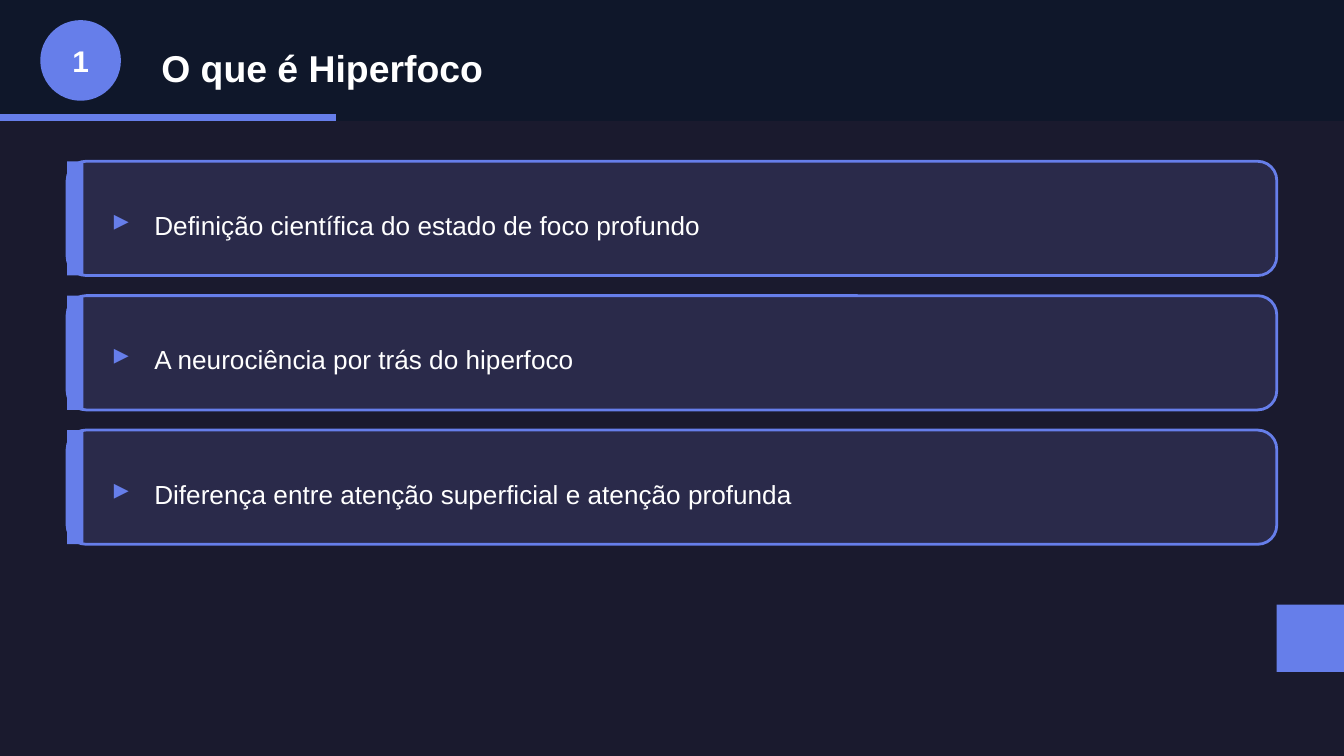
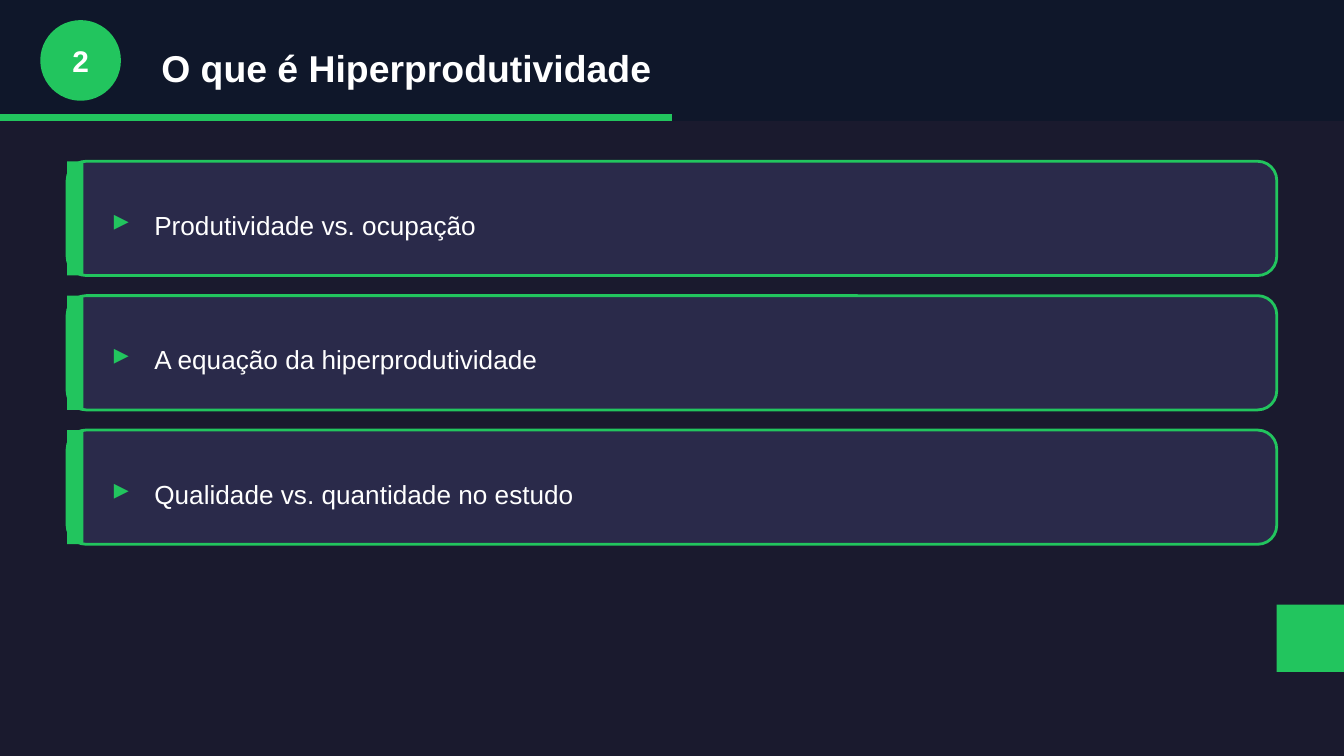
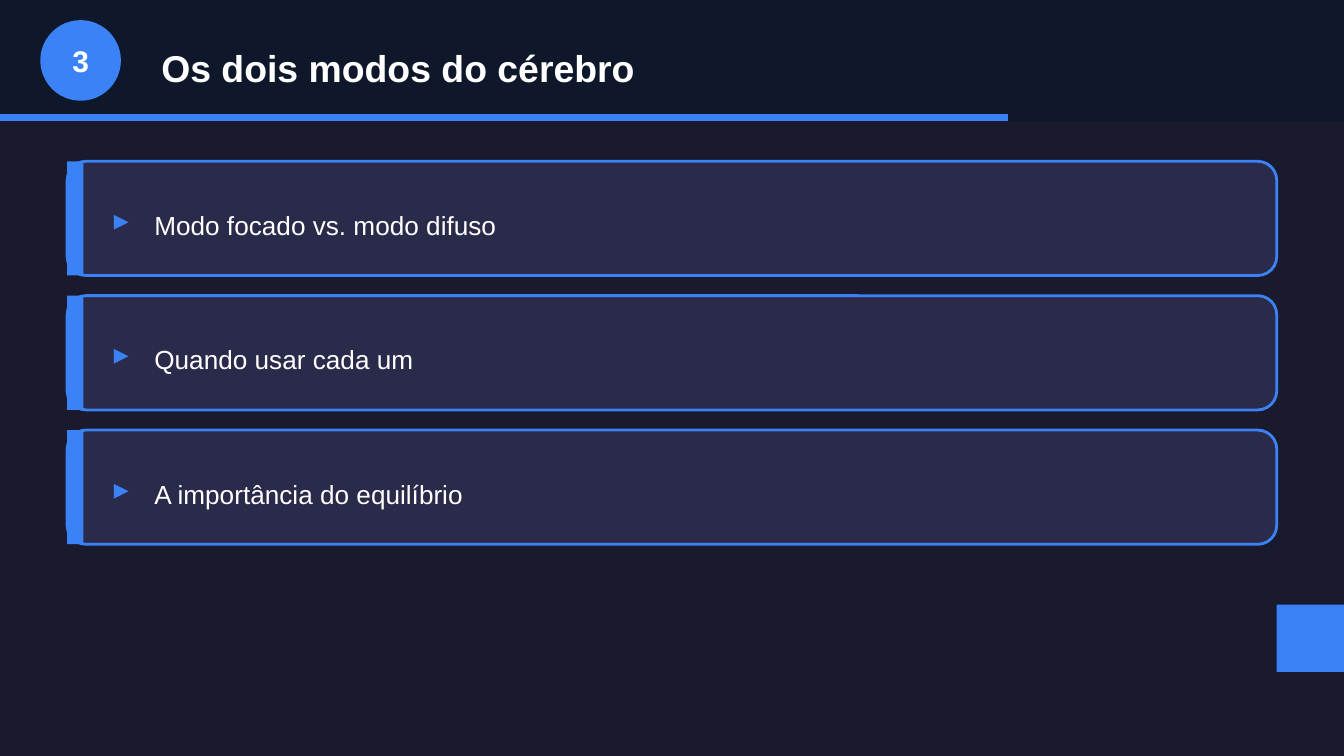
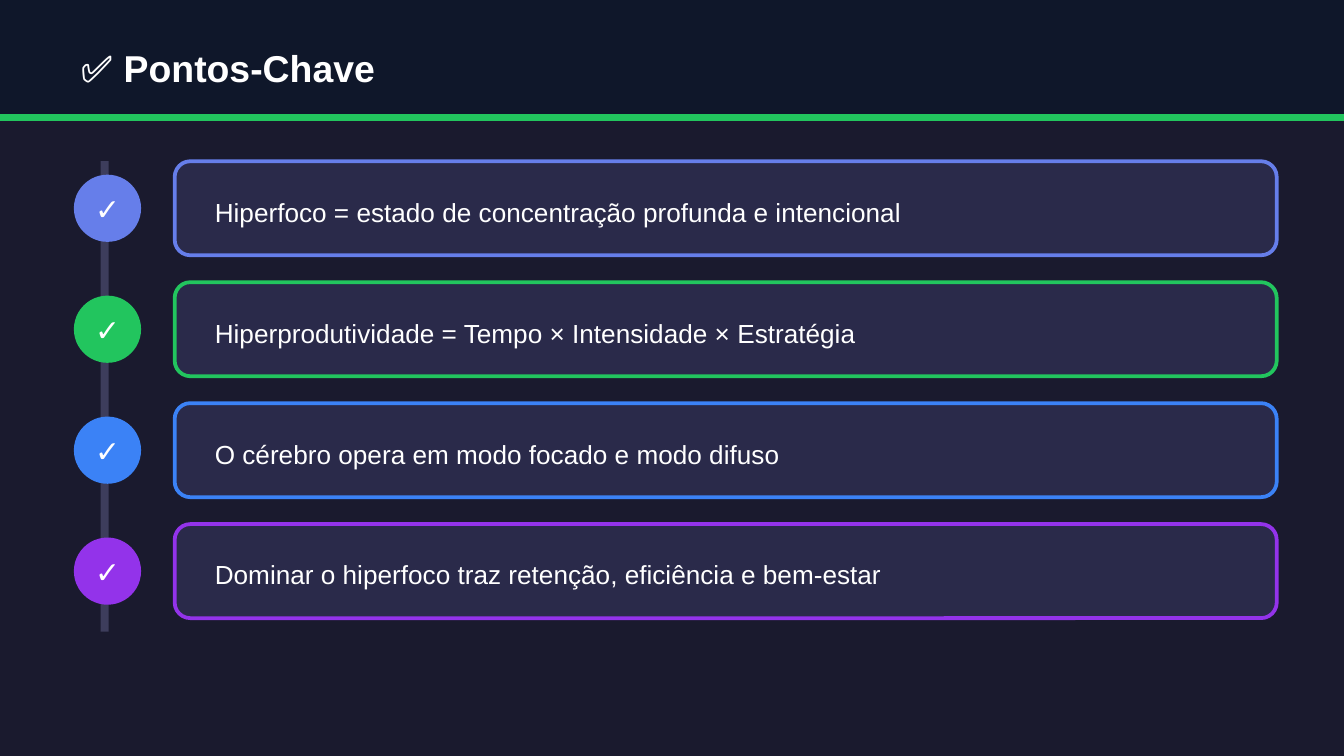
from pptx import Presentation
from pptx.dml.color import RGBColor
from pptx.enum.shapes import MSO_SHAPE
from pptx.enum.text import MSO_ANCHOR, MSO_AUTO_SIZE, PP_ALIGN
from pptx.util import Pt

WIDTH, HEIGHT = 720, 405
FONT = "Arial"
COLORS = {
    "page": "1A1A2E",
    "band": "0F172A",
    "card": "2A2A4A",
    "rail": "3D3D5C",
    "text": "FFFFFF",
    "indigo": "667EEA",
    "green": "22C55E",
    "blue": "3B82F6",
    "purple": "9333EA",
}
TOPICS = [
    ("O que é Hiperfoco", "indigo", [
        "Definição científica do estado de foco profundo",
        "A neurociência por trás do hiperfoco",
        "Diferença entre atenção superficial e atenção profunda",
    ]),
    ("O que é Hiperprodutividade", "green", [
        "Produtividade vs. ocupação",
        "A equação da hiperprodutividade",
        "Qualidade vs. quantidade no estudo",
    ]),
    ("Os dois modos do cérebro", "blue", [
        "Modo focado vs. modo difuso",
        "Quando usar cada um",
        "A importância do equilíbrio",
    ]),
]
POINTS = [
    ("Hiperfoco = estado de concentração profunda e intencional", "indigo"),
    ("Hiperprodutividade = Tempo × Intensidade × Estratégia", "green"),
    ("O cérebro opera em modo focado e modo difuso", "blue"),
    ("Dominar o hiperfoco traz retenção, eficiência e bem-estar", "purple"),
]


def rgb(name):
    return RGBColor.from_string(COLORS[name])


def add_block(slide, kind, box, fill, line=None, weight=1.5):
    block = slide.shapes.add_shape(kind, *map(Pt, box))
    block.shadow.inherit = False
    block.fill.solid()
    block.fill.fore_color.rgb = rgb(fill)
    if line:
        block.line.color.rgb = rgb(line)
        block.line.width = Pt(weight)
    else:
        block.line.fill.background()
    return block


def set_text(shape, text, size, color="text", bold=False, align=PP_ALIGN.LEFT):
    frame = shape.text_frame
    frame.text = text
    frame.word_wrap = True
    frame.auto_size = MSO_AUTO_SIZE.NONE
    frame.vertical_anchor = MSO_ANCHOR.MIDDLE
    line = frame.paragraphs[0]
    line.alignment = align
    font = line.runs[0].font
    font.name, font.size, font.bold = FONT, Pt(size), bold
    font.color.rgb = rgb(color)


def add_text(slide, box, text, size, **style):
    set_text(slide.shapes.add_textbox(*map(Pt, box)), text, size, **style)


def add_badge(slide, left, top, size, mark, color):
    add_block(slide, MSO_SHAPE.OVAL, (left, top, size, size), color)
    add_text(slide, (left, top + (size - 28.8) / 2, size, 28.8), mark, 16,
             bold=True, align=PP_ALIGN.CENTER)


def add_page(deck, title, left, width, color, share):
    """Add a slide with its title band; share is the filled part of the bar."""
    slide = deck.slides.add_slide(deck.slide_layouts[5])
    band = add_block(slide, MSO_SHAPE.RECTANGLE, (0, 0, WIDTH, 64.8), "band")
    head = slide.shapes.title
    head.left, head.top, head.width, head.height = map(Pt, (left, 18, width, 36))
    set_text(head, title, 20, bold=True)
    band.element.addnext(head.element)
    add_block(slide, MSO_SHAPE.RECTANGLE, (0, 61.2, WIDTH * share, 3.6), color)
    return slide


def add_card(slide, top, text, color):
    add_block(slide, MSO_SHAPE.ROUNDED_RECTANGLE, (36, top, 648, 61.2), "card", color)
    add_block(slide, MSO_SHAPE.RECTANGLE, (36, top, 8.64, 61.2), color)
    add_text(slide, (54, top + 18, 21.6, 25.2), "▸", 16, color=color, bold=True)
    add_text(slide, (75.6, top + 18, 590.4, 32.4), text, 14)


def add_step(slide, top, text, color):
    add_badge(slide, 39.6, top + 7.2, 36, "✓", color)
    add_block(slide, MSO_SHAPE.ROUNDED_RECTANGLE, (93.6, top, 590.4, 50.4),
              "card", color, 2)
    add_text(slide, (108, top + 10.8, 561.6, 32.4), text, 14)


def add_topic(deck, number, title, color, items):
    slide = add_page(deck, title, 79.2, 612, color, number / 4)
    add_badge(slide, 21.6, 10.8, 43.2, str(number), color)
    for row, item in enumerate(items):
        add_card(slide, 86.4 + 72 * row, item, color)
    add_block(slide, MSO_SHAPE.RECTANGLE, (684, 324, 36, 36), color)


def add_recap(deck):
    slide = add_page(deck, "✅ Pontos-Chave", 36, 648, "green", 1)
    add_block(slide, MSO_SHAPE.RECTANGLE, (54, 86.4, 4.32, 252), "rail")
    for row, (text, color) in enumerate(POINTS):
        add_step(slide, 86.4 + 64.8 * row, text, color)


def main():
    deck = Presentation()
    deck.slide_width, deck.slide_height = Pt(WIDTH), Pt(HEIGHT)
    page = deck.slide_master.background.fill
    page.solid()
    page.fore_color.rgb = rgb("page")
    for number, topic in enumerate(TOPICS, 1):
        add_topic(deck, number, *topic)
    add_recap(deck)
    deck.save("out.pptx")


if __name__ == "__main__":
    main()
